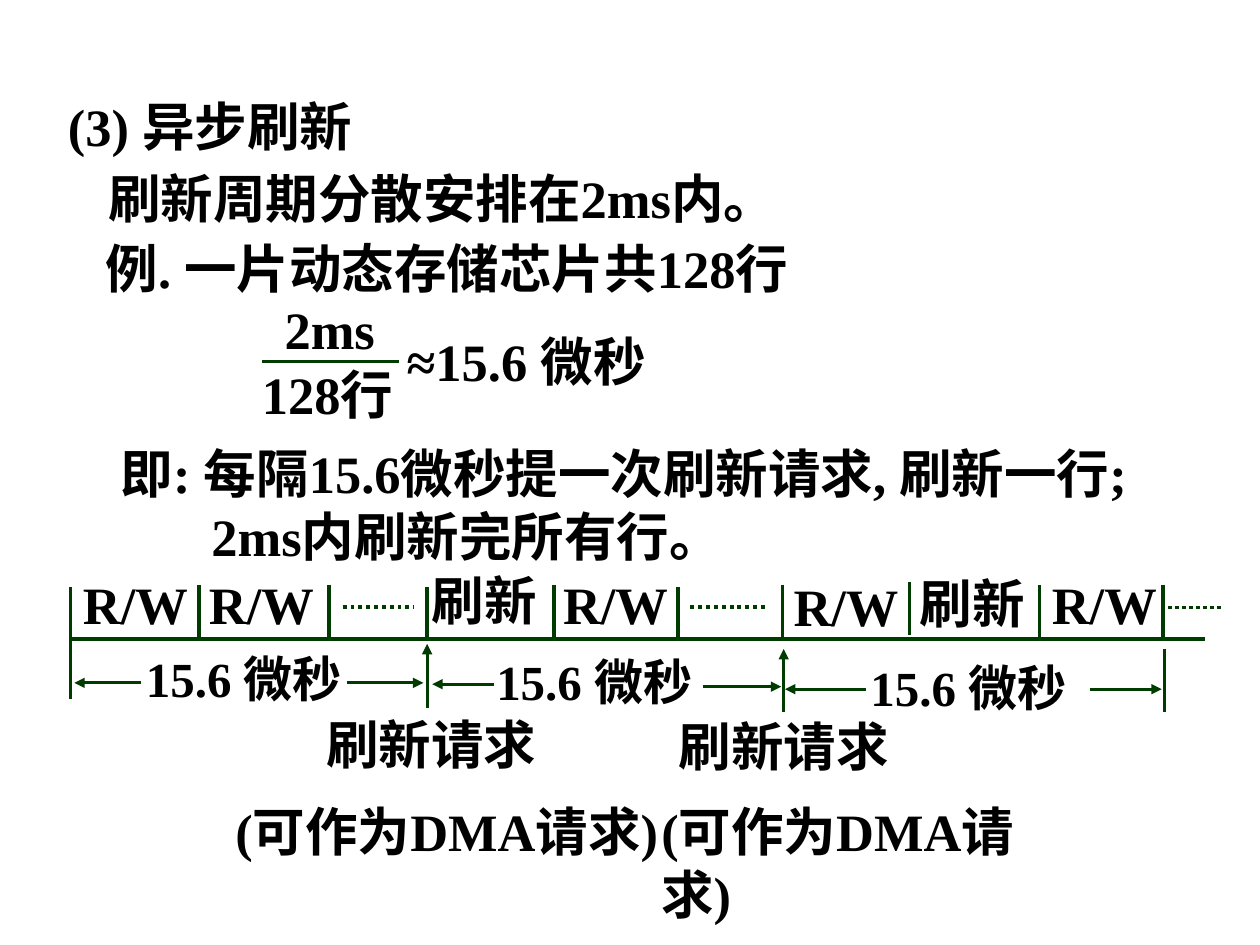
from lxml import etree
from pptx import Presentation
from pptx.dml.color import RGBColor
from pptx.enum.dml import MSO_LINE
from pptx.enum.shapes import MSO_CONNECTOR
from pptx.oxml.ns import qn
from pptx.util import Inches, Pt

STRAIGHT = MSO_CONNECTOR.STRAIGHT
DOTTED = MSO_LINE.ROUND_DOT
COLORS = {"text": "000000", "line": "003C00"}
FONT = "Times New Roman"

deck = Presentation()
deck.slide_width, deck.slide_height = Inches(10), Inches(7.5)
page = deck.slides.add_slide(deck.slide_layouts[6])


def add_text(text, left, top, width, height=0.61, size=30, before=1.5, hanging=0):
    box = page.shapes.add_textbox(Inches(left), Inches(top), Inches(width), Inches(height))
    box.text_frame.word_wrap = True
    para = box.text_frame.paragraphs[0]
    para.space_before = Pt(before)
    if hanging:
        properties = para._p.get_or_add_pPr()
        properties.set("marL", str(Inches(hanging)))
        properties.set("indent", str(-Inches(hanging)))
    span = para.add_run()
    span.text = text
    span.font.name = FONT
    span.font.size = Pt(size)
    span.font.bold = True
    span.font.color.rgb = RGBColor.from_string(COLORS["text"])


def add_line(x1, y1, x2, y2, weight=2, dash=None, arrow=False):
    line = page.shapes.add_connector(STRAIGHT, Inches(x1), Inches(y1), Inches(x2), Inches(y2))
    line.line.color.rgb = RGBColor.from_string(COLORS["line"])
    line.line.width = Pt(weight)
    if dash:
        line.line.dash_style = dash
    if arrow:
        etree.SubElement(line.line._get_or_add_ln(), qn("a:tailEnd"), type="triangle")
    etree.SubElement(line._element.spPr, qn("a:effectLst"))


# Heading and example
add_text("(3) 异步刷新", 0.44, 0.7, 3.18)
add_text("刷新周期分散安排在2ms内。", 0.76, 1.27, 5.62)
add_text("例. 一片动态存储芯片共128行", 0.74, 1.82, 6.01)

# Fraction and its result
add_text("2ms", 2.16, 2.31, 1.08, before=0)
add_line(2.08, 2.87, 3.17, 2.87)
add_text("128行", 1.98, 2.82, 1.42)
add_text("≈15.6 微秒", 3.13, 2.56, 2.77)

# Conclusion
add_text("即: 每隔15.6微秒提一次刷新请求, 刷新一行; 2ms内刷新完所有行。",
         0.86, 3.45, 8.71, height=1.11, hanging=0.72)

# Time axis with its cycle boundaries
add_line(0.56, 5.07, 9.56, 5.07)
add_line(0.56, 4.66, 0.56, 5.55)
for x, top, weight in [(1.58, 4.64, 2), (2.61, 4.64, 2), (3.39, 4.66, 2),
                       (4.4, 4.64, 2.25), (5.38, 4.66, 2), (6.21, 4.64, 2),
                       (7.22, 4.62, 2), (8.25, 4.64, 2), (9.23, 4.64, 2)]:
    add_line(x, top, x, top + 0.42, weight)

# Cycle labels
for label, left, top, width in [("R/W", 0.56, 4.49, 1.12), ("R/W", 1.56, 4.49, 1.07),
                                ("刷新", 3.33, 4.46, 1.07), ("R/W", 4.37, 4.49, 1.08),
                                ("R/W", 6.2, 4.51, 1.1), ("刷新", 7.2, 4.48, 1.1),
                                ("R/W", 8.25, 4.49, 1.14)]:
    add_text(label, left, top, width)

# Omitted cycles
for start, end, weight in [(2.72, 3.28, 2.25), (5.48, 6.1, 2.25), (9.27, 9.69, 2)]:
    add_line(start, 4.82, end, 4.82, weight, dash=DOTTED)

# Interval labels
for left, top, width in [(1.06, 5.1, 1.85), (3.84, 5.12, 1.91), (6.81, 5.17, 1.87)]:
    add_text("15.6 微秒", left, top, width, height=0.57, size=28)

# Interval arrows, pointing outwards from each label
for start, y1, end, y2 in [(1.12, 5.42, 0.59, 5.42), (2.75, 5.42, 3.36, 5.42),
                           (3.92, 5.43, 3.43, 5.43), (5.58, 5.45, 6.2, 5.45),
                           (6.87, 5.47, 6.23, 5.47), (8.65, 5.47, 9.22, 5.47)]:
    add_line(start, y1, end, y2, 1.75, arrow=True)

# Refresh request arrows and the end of the last interval
add_line(3.39, 5.62, 3.39, 5.11, 1.75, arrow=True)
add_line(6.22, 5.65, 6.22, 5.15, 1.75, arrow=True)
add_line(9.24, 5.15, 9.24, 5.65, 1.75)

# Refresh request captions
add_text("刷新请求", 2.49, 5.6, 2.09)
add_text("刷新请求", 5.29, 5.62, 2.21)
for left, width in [(1.77, 3.66), (5.15, 3.5)]:
    add_text("(可作为DMA请求)", left, 6.29, width)

deck.save("out.pptx")
